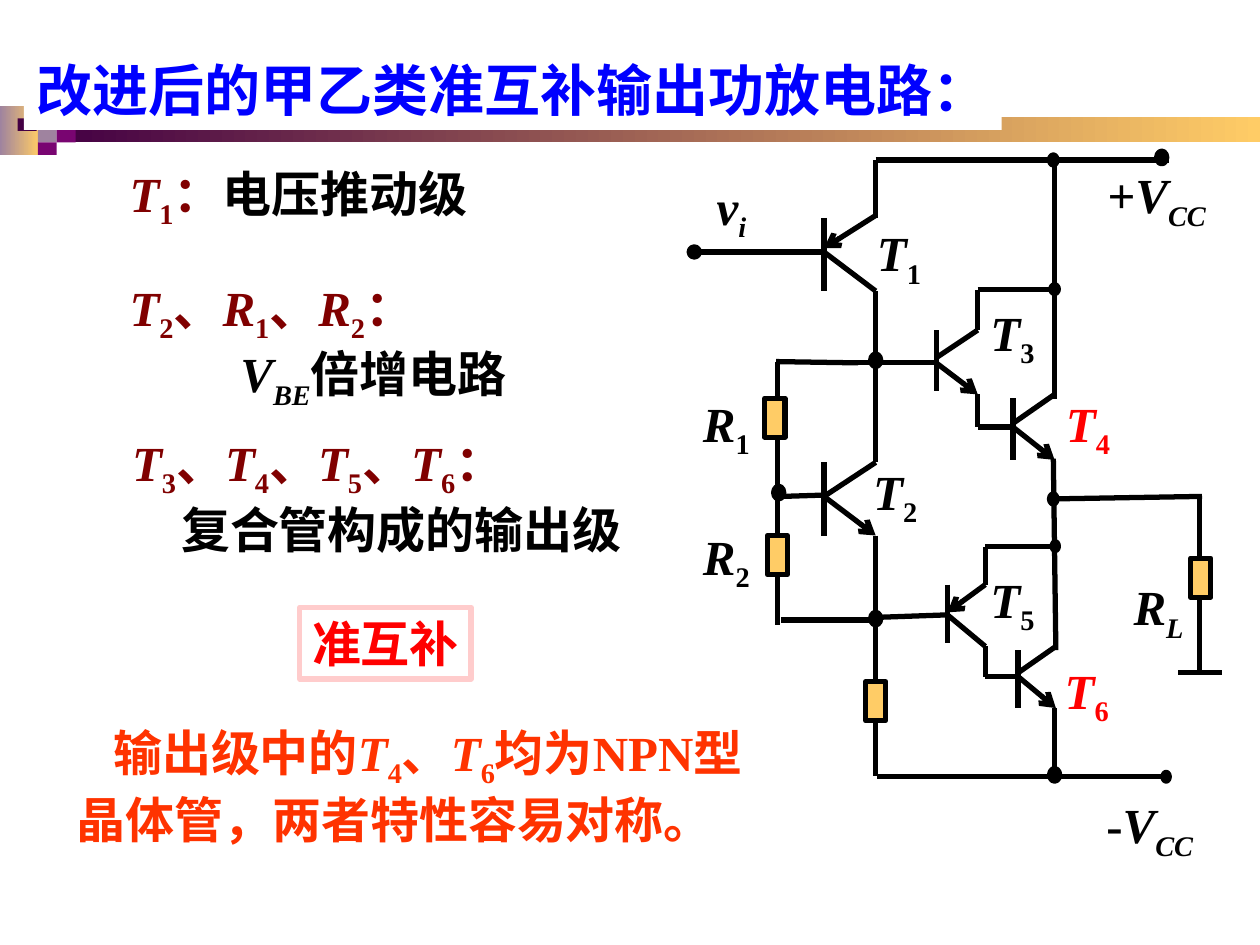
from lxml.etree import SubElement
from pptx import Presentation
from pptx.dml.color import RGBColor
from pptx.enum.shapes import MSO_CONNECTOR as Conn, MSO_SHAPE as Shape
from pptx.enum.text import MSO_ANCHOR as Anchor, MSO_AUTO_SIZE as Auto, PP_ALIGN as Align
from pptx.oxml.ns import qn
from pptx.util import Pt

PX = 9144  # 100 px to the inch
LINE = Pt(3)
BLACK, MAROON, RED, ORANGE, GOLD = "000000", "800000", "FF0000", "FF3300", "FFCC66"
color = RGBColor.from_string


def write(box, rows, size=28, align=Align.LEFT, wrap=False, anchor=Anchor.MIDDLE):
    """Rows are (indent, [(hue, text)]); text is split at | and A_b is italic A with subscript b."""
    frame = box.text_frame
    frame.auto_size = Auto.NONE
    frame.word_wrap = wrap
    frame.vertical_anchor = anchor
    for i, (indent, parts) in enumerate(rows):
        par = frame.add_paragraph() if i else frame.paragraphs[0]
        par.alignment = align
        if indent:
            par._p.get_or_add_pPr().set("indent", str(indent * PX))
        for hue, text in parts:
            for word in text.split("|"):
                base, _, sub = word.partition("_")
                for piece, low in ((base, False), (sub, True)):
                    if not piece:
                        continue
                    run = par.add_run()
                    run.text = piece
                    font = run.font
                    font.name, font.size, font.bold = "Times New Roman", Pt(size), True
                    font.italic = bool(sub) and not piece.isdigit()
                    font.color.rgb = color(hue)
                    if low:
                        font._element.set("baseline", "-25000")


def draw(kind, x, y, w, h, fill=None, line=None):
    shape = slide.shapes.add_shape(kind, x * PX, y * PX, w * PX, h * PX)
    shape.shadow.inherit = False
    if fill:
        shape.fill.solid()
        shape.fill.fore_color.rgb = color(fill)
    else:
        shape.fill.background()
    if line:
        shape.line.color.rgb = color(line)
        shape.line.width = LINE
    else:
        shape.line.fill.background()
    return shape


deck = Presentation()
deck.slide_width, deck.slide_height = 1000 * PX, 750 * PX
slide = deck.slides.add_slide(deck.slide_layouts[5])

# Header band
for x, y, w, h, start in ((0, 84, 31, 39, "9F839F"), (45, 93, 955, 20, "440044")):
    band = draw(Shape.RECTANGLE, x, y, w, h, start)
    band.fill.gradient()
    band.fill.gradient_angle = 0
    for stop, hue in zip(band.fill.gradient_stops, (start, GOLD)):
        stop.color.rgb = color(hue)
for x, y, hue in ((45, 93, "9F839F"), (60, 93, "790571"), (30, 103, "9F839F"),
                  (14, 94, "440044"), (45, 103, "790571"), (30, 113, "790571")):
    draw(Shape.RECTANGLE, x, y, 15, 10, hue)

title = slide.shapes.title
title.left, title.top, title.width, title.height = 19 * PX, 39 * PX, 776 * PX, 64 * PX
title.fill.solid()
title.fill.fore_color.rgb = color("FFFFFF")
write(title, [(0, [("0000FF", "改进后的甲乙类准互补输出功放电路：")])], 32, anchor=Anchor.TOP)
title._element.getparent().append(title._element)  # in front of the band

# Notes on the left
notes = (
    (74, 125, 457, 63, [(19, [(MAROON, "T_1|："), (BLACK, "电压推动级")])]),
    (74, 215, 457, 116, [(19, [(MAROON, "T_2|、|R_1|、|R_2|：")]),
                         (107, [(BLACK, "V_BE|倍增电路")])]),
    (76, 338, 457, 110, [(19, [(MAROON, "T_3|、|T_4|、|T_5|、|T_6|：")]),
                         (58, [(BLACK, "复合管构成的输出级")])]),
    (51, 545, 549, 157, [(29, [(ORANGE, "输出级中的|T_4|、|T_6|均为NPN型晶体管，两者特性容易对称。")])]),
)
for x, y, w, h, rows in notes:
    box = slide.shapes.add_textbox(x * PX, y * PX, w * PX, h * PX)
    write(box, rows, wrap=True)
frame = draw(Shape.RECTANGLE, 238, 482, 136, 57, line="FFCCCC")
write(frame, [(0, [(RED, "准互补")])], align=Align.CENTER)

# Circuit wires: x1, y1, x2, y2
wires = [
    (695, 127, 928, 127), (695, 173, 695, 127), (547, 200, 654, 200),
    (695, 231, 695, 292), (695, 367, 695, 292), (695, 425, 695, 616),
    (616, 287, 681, 288), (681, 288, 743, 288), (617, 287, 617, 496),
    (621, 394, 652, 393), (620, 492, 695, 492), (695, 490, 752, 488),
    (776, 230, 776, 262), (776, 230, 837, 230), (776, 313, 776, 339),
    (776, 339, 788, 339), (788, 339, 804, 339),
    (837, 127, 837, 226), (837, 317, 837, 230), (836, 364, 838, 516),
    (782, 434, 782, 464), (782, 434, 838, 434), (782, 513, 782, 537),
    (782, 537, 793, 537), (793, 537, 808, 537), (837, 562, 837, 618),
    (696, 616, 923, 616), (834, 396, 954, 394), (952, 396, 952, 534),
    (935, 534, 970, 534),
]
wires = [(wire, False) for wire in wires]

# Transistors: bar x, bar top, bar end, right x, upper y, upper joint, lower joint, lower y, PNP
for bar, top, end, right, high, join, fork, low, pnp in (
        (654, 173, 231, 695, 171, 197, 200, 231, True),
        (654, 367, 425, 695, 367, 394, 394, 425, False),
        (743, 262, 310, 776, 262, 284, 288, 313, False),
        (804, 316, 365, 837, 313, 336, 339, 365, False),
        (752, 464, 510, 782, 464, 486, 488, 513, True),
        (808, 516, 562, 838, 513, 534, 537, 562, False)):
    wires += [((bar, top, bar, end), False),
              ((right, high, bar, join), pnp),
              ((bar, fork, right, low), not pnp)]

for ends, arrow in wires:
    wire = slide.shapes.add_connector(Conn.STRAIGHT, *(n * PX for n in ends))
    wire.line.color.rgb = color(BLACK)
    wire.line.width = LINE
    if arrow:
        SubElement(wire.line._get_or_add_ln(), qn("a:tailEnd"), type="arrow")
    SubElement(wire._element.spPr, qn("a:effectLst"))

# Nodes
for x, y, w, h in ((923, 613, 5, 7), (833, 610, 8, 10), (833, 123, 6, 8), (834, 226, 6, 7),
                   (835, 430, 5, 7), (833, 392, 6, 8), (691, 281, 8, 10), (614, 386, 8, 10),
                   (691, 486, 8, 10), (918, 120, 8, 10), (547, 196, 8, 8)):
    draw(Shape.OVAL, x, y, w, h, BLACK, BLACK)

# Resistors
for x, y in ((607, 316), (609, 425), (687, 541), (945, 443)):
    draw(Shape.RECTANGLE, x, y, 16, 31, GOLD, BLACK)

# Labels
for x, y, w, text, hue in (
        (869, 126, 98, "+|V_CC", BLACK), (868, 626, 89, "-|V_CC", BLACK),
        (548, 307, 57, "R_1", BLACK), (548, 413, 57, "R_2", BLACK),
        (890, 453, 59, "R_L", BLACK), (559, 135, 43, "v_i", BLACK),
        (686, 172, 55, "T_1", BLACK), (683, 361, 55, "T_2", BLACK),
        (776, 235, 55, "T_3", BLACK), (836, 307, 55, "T_4", RED),
        (776, 447, 55, "T_5", BLACK), (835, 519, 55, "T_6", RED)):
    box = slide.shapes.add_textbox(x * PX, y * PX, w * PX, 63 * PX)
    write(box, [(0, [(hue, text)])], align=Align.CENTER)

deck.save("out.pptx")
